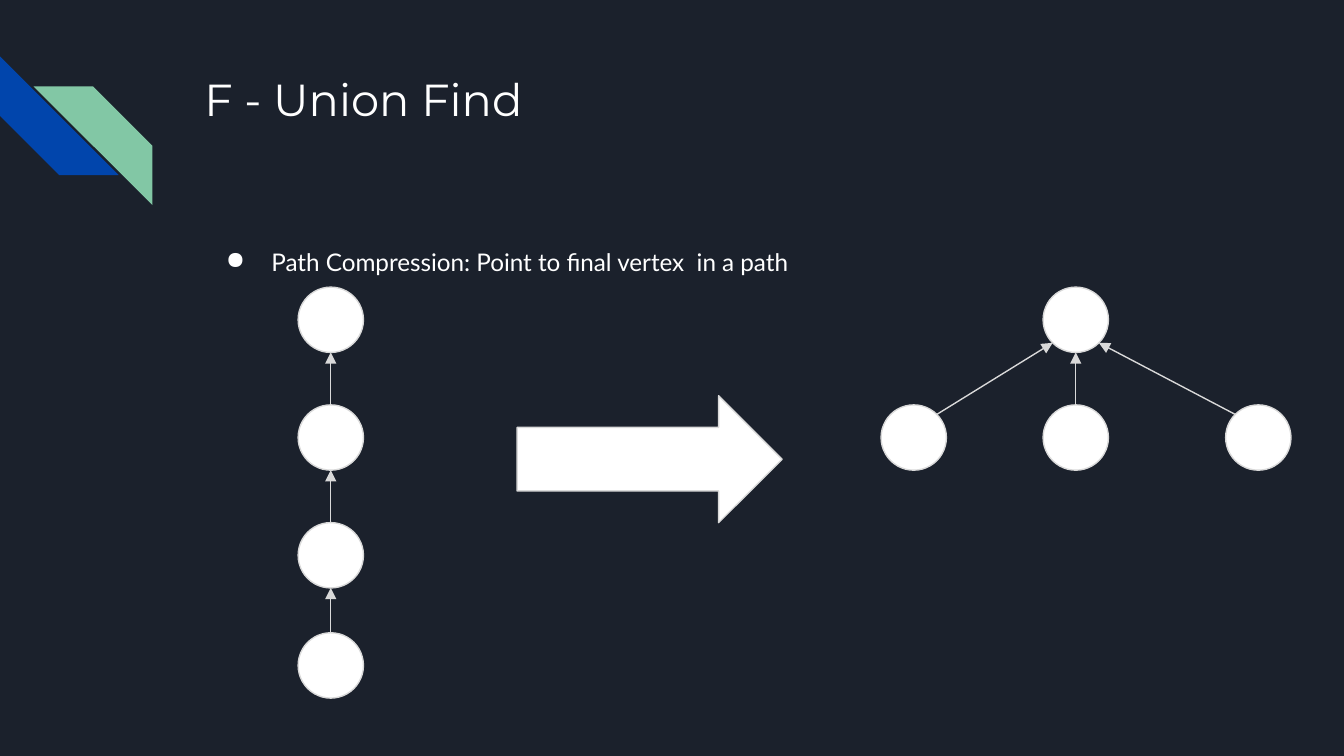
from math import cos, radians, sin

from lxml.etree import SubElement
from pptx import Presentation
from pptx.dml.color import RGBColor
from pptx.enum.shapes import MSO_CONNECTOR as Link, MSO_SHAPE as Form
from pptx.enum.text import MSO_ANCHOR as Anchor
from pptx.oxml.ns import qn
from pptx.util import Pt

SIZE = 35  # node diameter


def hue(code):
    return RGBColor.from_string(code)


def put(item, values):
    for name, value in values.items():
        setattr(item, name, value)


class Deck:
    dark, white, grey = "1B212C", "FFFFFF", "D9D9D9"
    blue, green = "0145AC", "82C7A5"
    edge = 0.75

    def __init__(self, wide, high):
        self.file = Presentation()
        put(self.file, {"slide_width": Pt(wide), "slide_height": Pt(high)})
        self.slide = self.file.slides.add_slide(self.file.slide_layouts[6])
        fill = self.slide.background.fill
        fill.solid()
        fill.fore_color.rgb = hue(self.dark)

    def shape(self, form, box, fill, line=None, turn=0):
        item = self.slide.shapes.add_shape(form, *map(Pt, box))
        item.shadow.inherit = False
        item.rotation = turn
        item.fill.solid()
        item.fill.fore_color.rgb = hue(fill)
        if line:
            item.line.color.rgb = hue(line)
            item.line.width = Pt(self.edge)
        else:
            item.line.fill.background()
        return item

    def node(self, x, y):
        self.shape(Form.OVAL, (x, y, SIZE, SIZE), self.white, self.grey)
        return x, y

    def link(self, tail, head, angle):
        """Join two nodes; angle is the exit direction, in degrees."""
        half = SIZE / 2
        dx, dy = half * cos(radians(angle)), half * sin(radians(angle))
        ends = (tail[0] + half + dx, tail[1] + half - dy,
                head[0] + half - dx, head[1] + half + dy)
        item = self.slide.shapes.add_connector(
            Link.STRAIGHT, *(Pt(end) for end in ends))
        item.line.color.rgb = hue(self.grey)
        item.line.width = Pt(self.edge)
        SubElement(item.line._ln, qn("a:tailEnd"), type="triangle")
        SubElement(item._element.spPr, qn("a:effectLst"))

    def text(self, words, box, face, size):
        frame = self.slide.shapes.add_textbox(*map(Pt, box)).text_frame
        put(frame, {"word_wrap": True, "vertical_anchor": Anchor.TOP})
        sides = ("left", "top", "right", "bottom")
        put(frame, {f"margin_{side}": Pt(7.2) for side in sides})
        para = frame.paragraphs[0]
        run = para.add_run()
        run.text = words
        put(run.font, {"name": face, "size": Pt(size)})
        run.font.color.rgb = hue(self.white)
        return para

    def bullet(self, para, left, hang):
        para.line_spacing = 1.15
        props = para._p.get_or_add_pPr()
        props.set("marL", str(Pt(left)))
        props.set("indent", str(-Pt(hang)))
        tint = SubElement(props, qn("a:buClr"))
        SubElement(tint, qn("a:srgbClr"), val=self.white)
        SubElement(props, qn("a:buChar"), char="●")


deck = Deck(720, 405)

# Corner stripes
deck.shape(Form.DIAGONAL_STRIPE, (0, 30.2, 63.6, 63.6), deck.blue, turn=270)
deck.shape(Form.DIAGONAL_STRIPE, (18, 46.3, 63.6, 63.6), deck.green, turn=90)

# Title and point
deck.text("F - Union Find", (102.4, 31, 554.4, 72), "Montserrat", 24)
point = deck.text("Path Compression: Point to final vertex  in a path",
                  (102.4, 123.1, 554.4, 229), "Lato", 13)
deck.bullet(point, 36, 24.5)

# Chain before compression
chain = [deck.node(159.7, y) for y in (339, 280, 216.9, 153.8)]
for low, high in zip(chain, chain[1:]):
    deck.link(low, high, 90)

# Tree after compression
root = deck.node(558.8, 153.8)
for x, angle in ((472, 45), (558.8, 90), (656.6, 135)):
    deck.link(deck.node(x, 216.9), root, angle)

# Arrow from chain to tree
deck.shape(Form.RIGHT_ARROW, (277, 212, 142, 68), deck.white, deck.grey)

deck.file.save("out.pptx")
